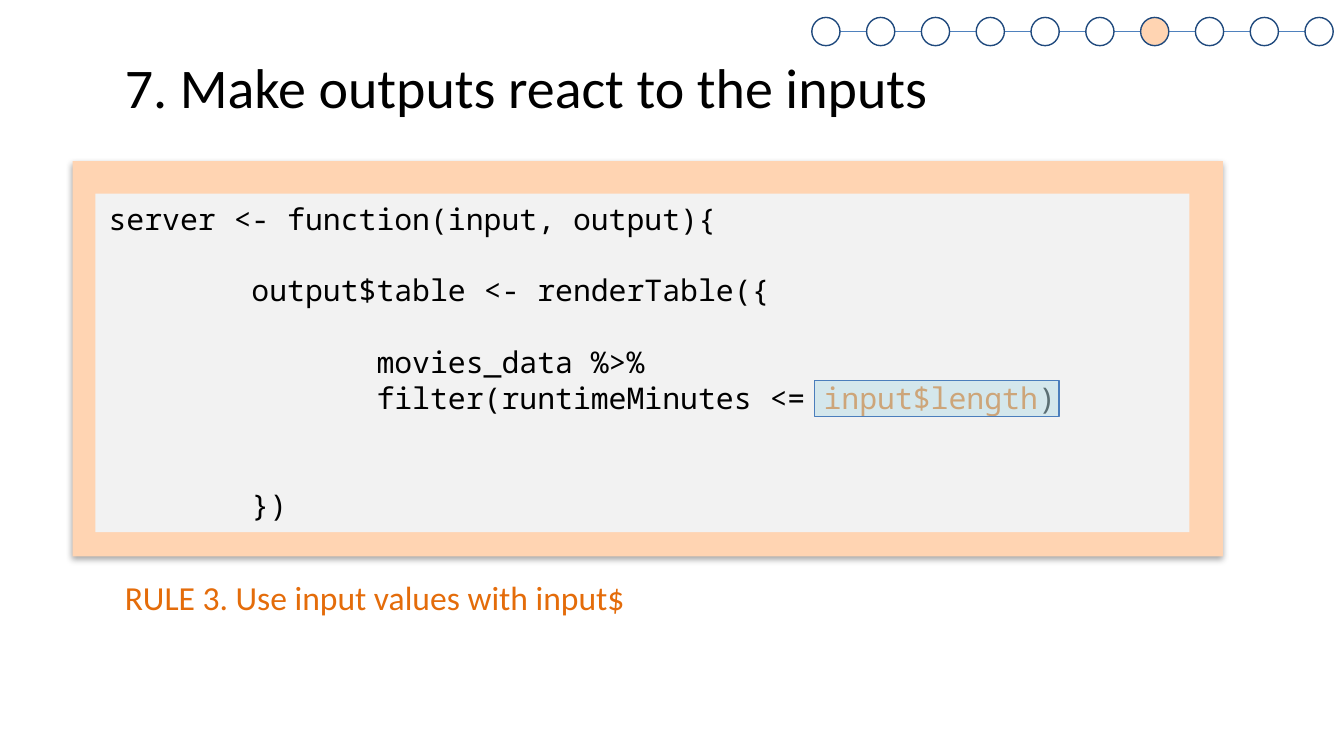
import pptx
import pptx.util
import pptx.dml.color
import pptx.enum.shapes
import pptx.enum.text
import pptx.oxml.ns
from dataclasses import dataclass
from lxml import etree

Inches, Pt = pptx.util.Inches, pptx.util.Pt
Kind = pptx.enum.shapes.MSO_SHAPE
qn = pptx.oxml.ns.qn


@dataclass
class Theme:
    sans: str = "Calibri"
    mono: str = "Noto Sans Mono"
    black: str = "000000"
    white: str = "FFFFFF"
    peach: str = "FFD4B2"
    orange: str = "E46C0A"
    grey: str = "F2F2F2"
    navy: str = "1F497D"
    track: str = "4F81BD"
    aqua: str = "B7DEE8"
    edge: str = "4B7EBC"
    title: float = 30
    note: float = 18
    code: float = 16
    pitch: float = 19.2


theme = Theme()
rgb = pptx.dml.color.RGBColor.from_string


def add_block(kind, left, top, width, height, fill, line=None):
    block = slide.shapes.add_shape(
        kind, Inches(left), Inches(top), Inches(width), Inches(height))
    block.shadow.inherit = False
    block.fill.solid()
    block.fill.fore_color.rgb = rgb(fill)
    if line:
        block.line.color.rgb = rgb(line)
        block.line.width = Pt(0.75)
    else:
        block.line.fill.background()
    return block


def style(run, face, size, color):
    run.font.name = face
    run.font.size = Pt(size)
    run.font.color.rgb = rgb(color)


# Widescreen page, 16 to 9
deck = pptx.Presentation()
deck.slide_width = Inches(10)
deck.slide_height = Inches(10) * 9 // 16
slide = deck.slides.add_slide(deck.slide_layouts[6])

# Peach panel with a soft shadow below
panel = add_block(Kind.RECTANGLE, 0.54, 1.2, 8.56, 2.94, theme.peach)
effects = panel._element.spPr.find(qn("a:effectLst"))
shade = etree.SubElement(effects, qn("a:outerShdw"), blurRad=str(Pt(3.1)),
                         dist=str(Pt(1.8)), dir="5400000", rotWithShape="0")
tint = etree.SubElement(shade, qn("a:srgbClr"), val=theme.black)
etree.SubElement(tint, qn("a:alpha"), val="35000")

# Code: empty lines above, text before, accented text, text after
lines = [
    (0, "server <- function(input, output){", "", ""),
    (1, "        output$table <- renderTable({", "", ""),
    (1, "               movies_data %>%", "", ""),
    (0, "               filter(runtimeMinutes <= ", "input$length", ")"),
    (2, "        })", "", ""),
]
code = add_block(Kind.RECTANGLE, 0.71, 1.44, 8.14, 2.52, theme.grey)
frame = code.text_frame
frame.word_wrap = True
frame.vertical_anchor = pptx.enum.text.MSO_ANCHOR.TOP
for row, (gap, *parts) in enumerate(lines):
    para = frame.paragraphs[0] if row == 0 else frame.add_paragraph()
    para.alignment = pptx.enum.text.PP_ALIGN.LEFT
    para.line_spacing = Pt(theme.pitch)
    if gap:
        para.space_before = Pt(gap * theme.pitch)
    for text, color in zip(parts, (theme.black, theme.orange, theme.black)):
        if text:
            run = para.add_run()
            run.text = text
            style(run, theme.mono, theme.code, color)

# Rule and title
for text, top, width, height, size, color in [
    ("RULE 3. Use input values with input$", 4.24, 6.58, 1.01,
     theme.note, theme.orange),
    ("7. Make outputs react to the inputs", 0.34, 8.18, 0.86,
     theme.title, theme.black),
]:
    box = slide.shapes.add_textbox(
        Inches(0.83), Inches(top), Inches(width), Inches(height))
    box.text_frame.word_wrap = True
    box.text_frame.text = text
    style(box.text_frame.paragraphs[0].runs[0], theme.sans, size, color)

# Progress track: ten steps, the seventh is current
count, now = 10, 6
first, last, size, top = 6.04, 9.71, 0.21, 0.13
mid = Inches(top + size / 2)
track = slide.shapes.add_connector(
    pptx.enum.shapes.MSO_CONNECTOR.STRAIGHT,
    Inches(first + size), mid, Inches(last), mid)
track.line.color.rgb = rgb(theme.track)
track.line.width = Pt(0.5)
etree.SubElement(track._element.spPr, qn("a:effectLst"))
for step in range(count):
    left = first + step * (last - first) / (count - 1)
    fill = theme.peach if step == now else theme.white
    add_block(Kind.OVAL, left, top, size, size, fill, theme.navy)

# Half-clear mark over the input value
mark = add_block(Kind.RECTANGLE, 6.06, 2.83, 1.82, 0.27, theme.aqua, theme.edge)
tint = mark._element.spPr.find(qn("a:solidFill")).find(qn("a:srgbClr"))
etree.SubElement(tint, qn("a:alpha"), val="50000")

deck.save("out.pptx")
